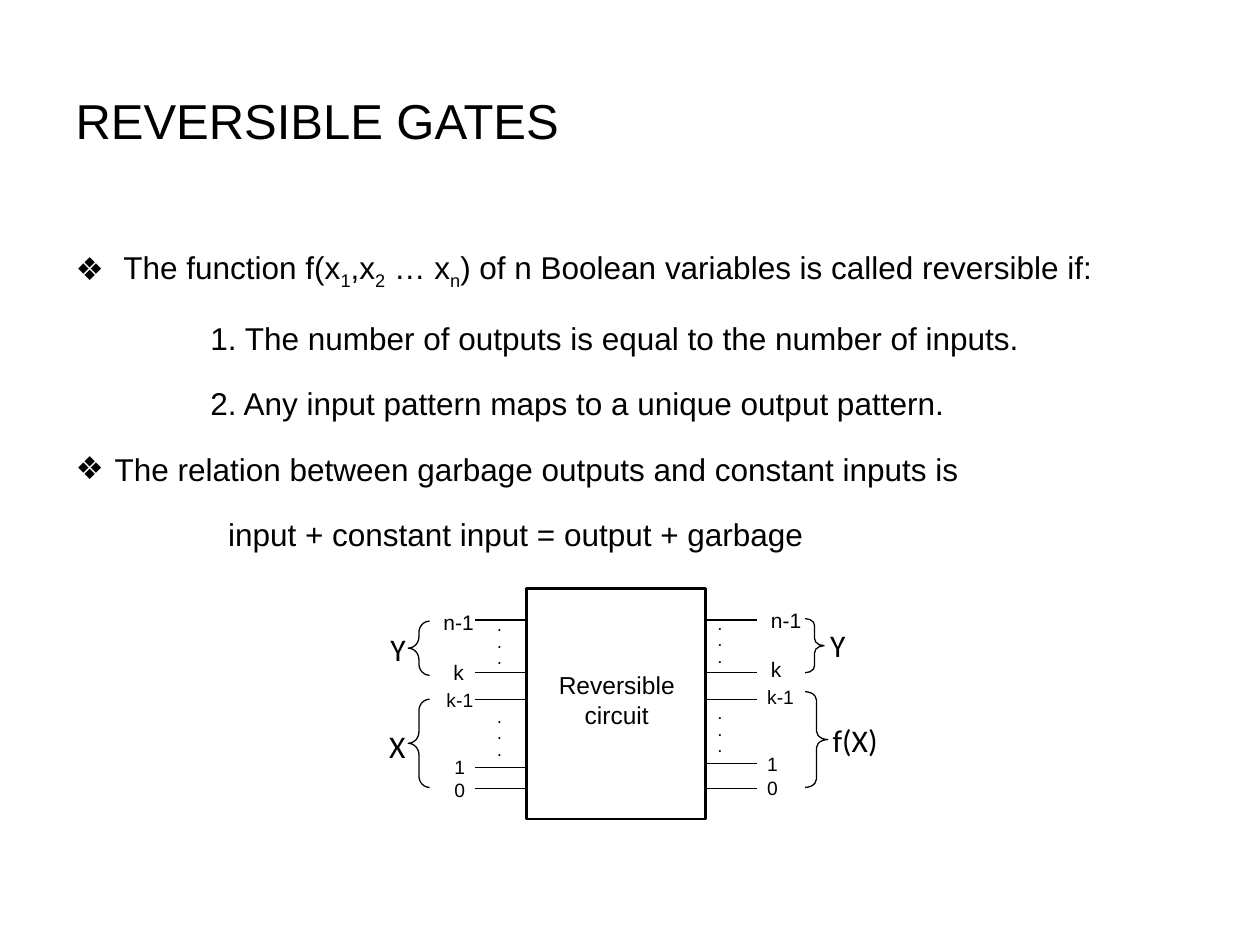
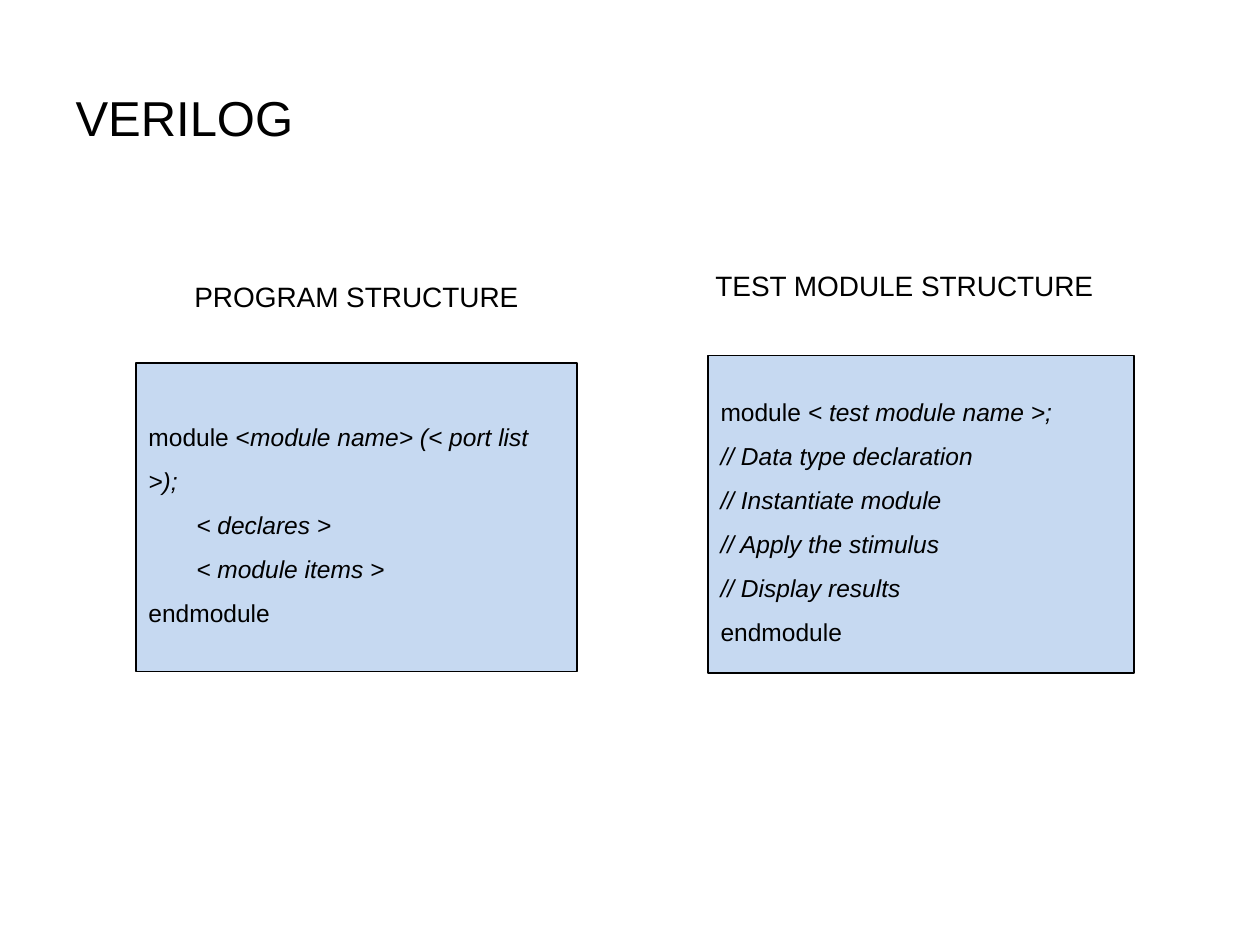
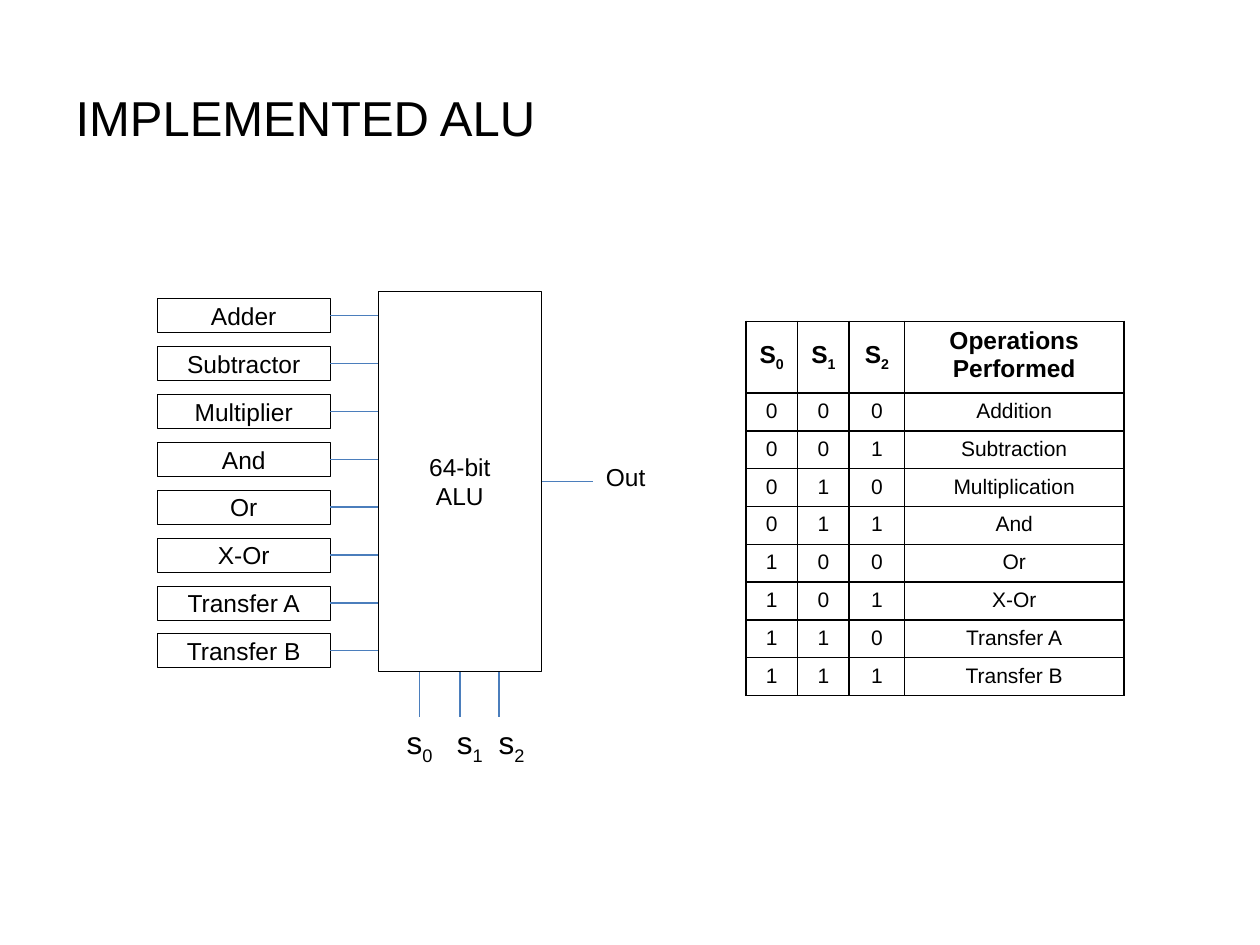
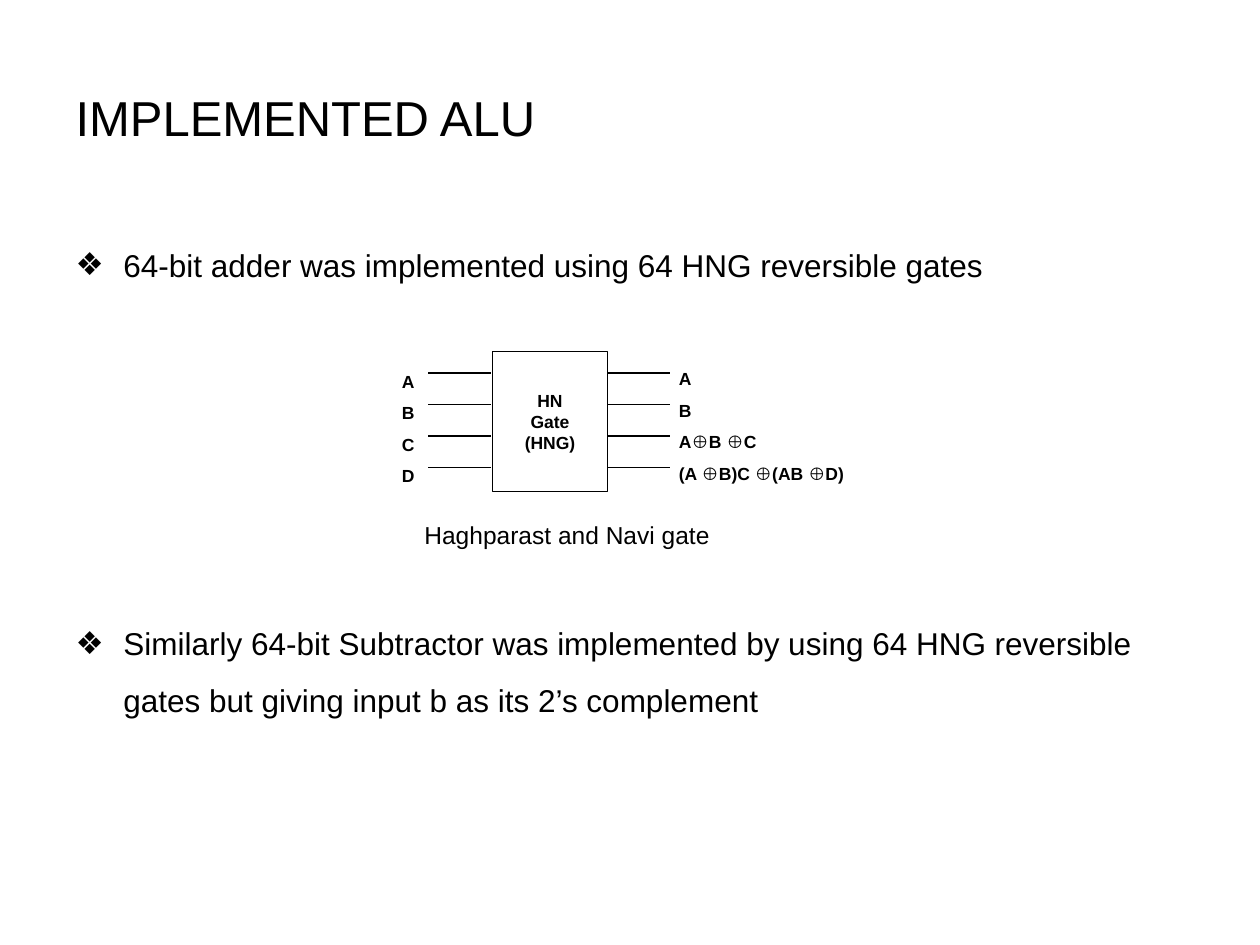
from dataclasses import dataclass

from lxml.etree import SubElement
from pptx import Presentation
from pptx.dml.color import RGBColor as Color
from pptx.enum.shapes import MSO_CONNECTOR as Wire, MSO_SHAPE as Preset
from pptx.enum.text import MSO_ANCHOR as Anchor, MSO_AUTO_SIZE as Fit, PP_ALIGN as Align
from pptx.oxml.ns import qn
from pptx.util import Inches, Pt


@dataclass(frozen=True)
class Theme:
    ink: Color = Color(0, 0, 0)
    paper: Color = Color(255, 255, 255)
    code: Color = Color(0xC6, 0xD9, 0xF1)
    wire: Color = Color(0x4B, 0x7E, 0xBC)
    font: str = "Arial"
    symbol_font: str = "Calibri"
    title: int = 28
    body: int = 18
    heading: int = 16
    label: int = 14
    cell: int = 12
    pin: int = 11
    gate: int = 10
    dot: int = 8
    thin: float = 0.25
    line: float = 0.75
    thick: float = 1.5
    bullet: str = "❖"


THEME = Theme()
SUBSCRIPT = "subscript"
ITALIC = "italic"


@dataclass
class Line:
    text: str
    indent: float = 0
    before: float = 0
    bullet: bool = False


def apply(target, values):
    for name, value in values.items():
        setattr(target, name, value)


def inches(*lengths):
    return [Inches(length) for length in lengths]


def write(frame, lines, size, marked=SUBSCRIPT, font=THEME.font, bold=False, **layout):
    """Text between bars takes the marked style."""
    frame.clear()
    for index, line in enumerate(lines):
        line = line if isinstance(line, Line) else Line(line)
        para = frame.paragraphs[0] if index == 0 else frame.add_paragraph()
        apply(para, {"alignment": Align.LEFT, "space_before": Pt(line.before), **layout})
        properties = para._p.get_or_add_pPr()
        hang = line.indent if line.bullet else 0
        properties.set("marL", str(Inches(line.indent)))
        properties.set("indent", str(-Inches(hang)))
        if line.bullet:
            SubElement(properties, qn("a:buChar")).set("char", THEME.bullet)
        else:
            SubElement(properties, qn("a:buNone"))
        for order, text in enumerate(line.text.split("|")):
            if not text:
                continue
            span = para.add_run()
            span.text = text
            apply(span.font, {"name": font, "size": Pt(size), "bold": bold})
            span.font.color.rgb = THEME.ink
            if order % 2 and marked == ITALIC:
                span.font.italic = True
            elif order % 2:
                span._r.get_or_add_rPr().set("baseline", "-25000")


def add_text(canvas, box, lines, size, wrap=True, anchor=Anchor.TOP, **style):
    frame = canvas.shapes.add_textbox(*inches(*box)).text_frame
    apply(frame, {"word_wrap": wrap, "vertical_anchor": anchor, "auto_size": Fit.NONE})
    write(frame, lines, size, **style)


def add_block(canvas, preset, box, width=THEME.line, fill=None):
    block = canvas.shapes.add_shape(preset, *inches(*box))
    block.shadow.inherit = False
    if fill is None:
        block.fill.background()
    else:
        block.fill.solid()
        block.fill.fore_color.rgb = fill
    block.line.color.rgb = THEME.ink
    block.line.width = Pt(width)
    apply(block.text_frame, {"word_wrap": True, "vertical_anchor": Anchor.MIDDLE,
                             "margin_top": 0, "margin_bottom": 0})
    return block


def add_wire(canvas, start, end, color=THEME.ink):
    wire = canvas.shapes.add_connector(Wire.STRAIGHT, *inches(*start, *end))
    wire.line.color.rgb = color
    wire.line.width = Pt(THEME.line)
    SubElement(wire._element.spPr, qn("a:effectLst"))


def place(holder, box):
    apply(holder, dict(zip(("left", "top", "width", "height"), inches(*box))))


def add_page(deck, title, top=0.3, body=None, lines=()):
    page = deck.slides.add_slide(deck.slide_layouts[1 if lines else 5])
    place(page.shapes.title, (0.5, top, 9, 1.25))
    frame = page.shapes.title.text_frame
    apply(frame, {"vertical_anchor": Anchor.MIDDLE, "auto_size": Fit.NONE})
    write(frame, [title], THEME.title)
    if lines:
        holder = page.placeholders[1]
        place(holder, body)
        holder.text_frame.auto_size = Fit.NONE
        write(holder.text_frame, lines, THEME.body, line_spacing=1.5)
    return page


def reversible_circuit(page, left, top):
    canvas = page.shapes.add_group_shape()

    def at(x, y, width, height):
        return left + x, top + y, width, height

    add_block(canvas, Preset.RECTANGLE, at(1.19, 0, 1.42, 1.83), THEME.thick)
    add_text(canvas, at(1.28, 0.6, 1.25, 0.57), ["Reversible circuit"], THEME.label,
             anchor=Anchor.MIDDLE, alignment=Align.CENTER)

    for x, lowest in ((0.78, 1.42), (2.61, 1.39)):
        for y in (0.25, 0.67, 0.88, lowest, 1.59):
            add_wire(canvas, (left + x, top + y), (left + x + 0.41, top + y))
    for x, y in ((0.86, 0.18), (0.86, 0.91), (2.61, 0.17), (2.61, 0.88)):
        add_text(canvas, at(x, y, 0.35, 0.5), [".", ".", "."], THEME.dot,
                 font=THEME.symbol_font, bold=True)

    pins = (
        (0.36, 0.12, 0.71, THEME.cell, Align.CENTER, "n-1", [Line("k", before=13.8)]),
        (3.03, 0.1, 0.71, THEME.cell, Align.LEFT, "n-1", [Line("k", before=13.8)]),
        (0.37, 0.74, 1.03, THEME.pin, Align.CENTER, "k-1", [Line("1", before=25.3), "0"]),
        (3, 0.72, 1.03, THEME.pin, Align.LEFT, "k-1", [Line("1", before=25.3), "0"]),
    )
    for x, y, height, size, align, first, rest in pins:
        add_text(canvas, at(x, y, 0.58, height), [first, *rest], size, alignment=align)

    braces = (
        (Preset.LEFT_BRACE, 0.53, (0.25, 0.26, 0.17, 0.43)),
        (Preset.LEFT_BRACE, 0.53, (0.25, 0.88, 0.17, 0.7)),
        (Preset.RIGHT_BRACE, 0.37, (3.4, 0.24, 0.15, 0.43)),
        (Preset.RIGHT_BRACE, 0.37, (3.4, 0.82, 0.18, 0.76)),
    )
    for preset, curve, box in braces:
        brace = add_block(canvas, preset, at(*box))
        brace.adjustments[0] = curve
    for name, x, y, width in (("Y", 0.01, 0.28, 0.32), ("Y", 3.5, 0.25, 0.32),
                              ("X", 0, 1.05, 0.33), ("f(X)", 3.52, 1, 0.56)):
        add_text(canvas, at(x, y, width, 0.4), [name], THEME.body, wrap=False,
                 font=THEME.symbol_font)


def code_panel(page, heading, heading_box, align, code, code_box):
    canvas = page.shapes.add_group_shape()
    add_text(canvas, heading_box, [heading], THEME.heading, alignment=align)
    panel = add_block(canvas, Preset.FLOWCHART_PROCESS, code_box, fill=THEME.code)
    write(panel.text_frame, code, THEME.label, marked=ITALIC, line_spacing=1.5)


def alu_diagram(page, left, top, units):
    canvas = page.shapes.add_group_shape()
    unit_width, unit_height, pitch = 1.37, 0.27, 0.38
    alu_left, alu_width, alu_height = left + 1.75, 1.3, 3.02
    alu_right, alu_bottom = alu_left + alu_width, top + alu_height

    alu = add_block(canvas, Preset.RECTANGLE, (alu_left, top, alu_width, alu_height),
                    THEME.thin, THEME.paper)
    write(alu.text_frame, ["64-bit", "ALU"], THEME.label, alignment=Align.CENTER)
    for index, name in enumerate(units):
        y = top + 0.06 + index * pitch
        unit = add_block(canvas, Preset.RECTANGLE, (left, y, unit_width, unit_height),
                         THEME.thin, THEME.paper)
        write(unit.text_frame, [name], THEME.label, alignment=Align.CENTER)
        middle = y + unit_height / 2
        add_wire(canvas, (left + unit_width, middle), (alu_left, middle), THEME.wire)

    output = top + alu_height / 2
    add_wire(canvas, (alu_right, output), (alu_right + 0.41, output), THEME.wire)
    add_text(canvas, (alu_right + 0.41, output - 0.2, 0.71, 0.45), ["Out"], THEME.label)
    for index, (x, label) in enumerate(((0.33, 0.33), (0.65, 0.73), (0.96, 1.06))):
        add_wire(canvas, (alu_left + x, alu_bottom + 0.36), (alu_left + x, alu_bottom),
                 THEME.wire)
        add_text(canvas, (alu_left + label - 0.25, alu_bottom + 0.36, 0.5, 0.37),
                 [f"s|{index}|"], THEME.body, alignment=Align.CENTER)


def border(cell):
    properties = cell._tc.get_or_add_tcPr()
    for index, side in enumerate(("lnL", "lnR", "lnT", "lnB")):
        edge = properties.makeelement(qn(f"a:{side}"), {"w": str(Pt(1))})
        fill = SubElement(edge, qn("a:solidFill"))
        SubElement(fill, qn("a:srgbClr")).set("val", str(THEME.ink))
        properties.insert(index, edge)


def operations_table(page, left, top, operations):
    header = ["S|0|", "S|1|", "S|2|", "Operations Performed"]
    rows = [header] + [[*f"{code:03b}", name] for code, name in enumerate(operations)]
    widths = (0.41, 0.41, 0.44, 1.74)
    heights = [0.57] + [0.3] * len(operations)
    table = page.shapes.add_table(len(rows), len(widths), *inches(
        left, top, sum(widths), sum(heights))).table
    apply(table, {"first_row": False, "horz_banding": False})
    for column, width in zip(table.columns, widths):
        column.width = Inches(width)
    for row, height, values in zip(table.rows, heights, rows):
        row.height = Inches(height)
        is_header = values is header
        for cell, value in zip(row.cells, values):
            cell.fill.background()
            border(cell)
            if is_header and value != header[-1]:
                cell.vertical_anchor = Anchor.MIDDLE
            write(cell.text_frame, [value], THEME.label if is_header else THEME.cell,
                  bold=is_header, alignment=Align.CENTER)


def hng_gate(page, left, top):
    canvas = page.shapes.add_group_shape()
    gate = add_block(canvas, Preset.RECTANGLE, (left + 0.82, top, 0.91, 1.11),
                     fill=THEME.paper)
    write(gate.text_frame, ["HN", "Gate", "(HNG)"], THEME.gate, bold=True,
          alignment=Align.CENTER)
    for index in range(4):
        y = top + 0.17 + index * 0.25
        for x in (left + 0.31, left + 1.73):
            add_wire(canvas, (x, y), (x + 0.5, y))
    inputs = ["A", "B", "C", "D"]
    outputs = ["A", "B", "A⊕B ⊕C", "(A ⊕B)C ⊕(AB ⊕D)"]
    for x, y, width, names in ((0, 0.02, 0.31, inputs), (2.2, 0, 1.53, outputs)):
        add_text(canvas, (left + x, top + y, width, 1.11), names, THEME.gate, bold=True,
                 line_spacing=1.5)
    add_text(page, (left + 0.18, top + 1.29, 2.53, 0.57), ["Haghparast and Navi gate"],
             THEME.label, wrap=False)


def main():
    deck = Presentation()
    apply(deck, {"slide_width": Inches(10), "slide_height": Inches(7.5)})

    gates = add_page(deck, "REVERSIBLE GATES", 0.33, (0.5, 1.75, 9, 4.95), [
        Line("The function f(x|1|,x|2| … x|n|) of n Boolean variables is called reversible if:",
             0.38, 5, True),
        Line("1. The number of outputs is equal to the number of inputs.", 1.07, 5),
        Line("2. Any input pattern maps to a unique output pattern.", 1.07, 5),
        Line("The relation between garbage outputs and constant inputs is", 0.31, 5, True),
        Line("input + constant input = output + garbage", 1.21, 5),
    ])
    reversible_circuit(gates, 2.99, 4.67)

    verilog = add_page(deck, "VERILOG")
    code_panel(verilog, "PROGRAM STRUCTURE", (1.08, 2.17, 3.5, 0.45), Align.CENTER, [
        "module <|module name> (< port list >);|",
        Line("|< declares >|", 0.38),
        Line("|< module items >|", 0.38),
        "endmodule",
    ], (1.08, 2.88, 3.5, 2.45))
    code_panel(verilog, "TEST MODULE STRUCTURE", (5.58, 2.08, 3.46, 0.47), Align.LEFT, [
        "module |< test module name >;|",
        "|// Data type declaration|",
        "|// Instantiate module|",
        "|// Apply the stimulus|",
        "|// Display results|",
        "endmodule",
    ], (5.62, 2.82, 3.38, 2.52))

    alu = add_page(deck, "IMPLEMENTED ALU")
    shared = ["And", "Or", "X-Or", "Transfer A", "Transfer B"]
    alu_diagram(alu, 1.25, 2.31, ["Adder", "Subtractor", "Multiplier", *shared])
    operations_table(alu, 5.92, 2.55, ["Addition", "Subtraction", "Multiplication", *shared])

    adder = add_page(deck, "IMPLEMENTED ALU", body=(0.5, 1.75, 9.25, 5.42), lines=[
        Line("64-bit adder was implemented using 64 HNG reversible gates", 0.38, 5, True),
        Line("Similarly 64-bit Subtractor was implemented by using 64 HNG reversible gates "
             "but giving input b as its 2’s complement", 0.38, 184, True),
    ])
    hng_gate(adder, 3.09, 2.79)

    deck.save("out.pptx")


if __name__ == "__main__":
    main()
